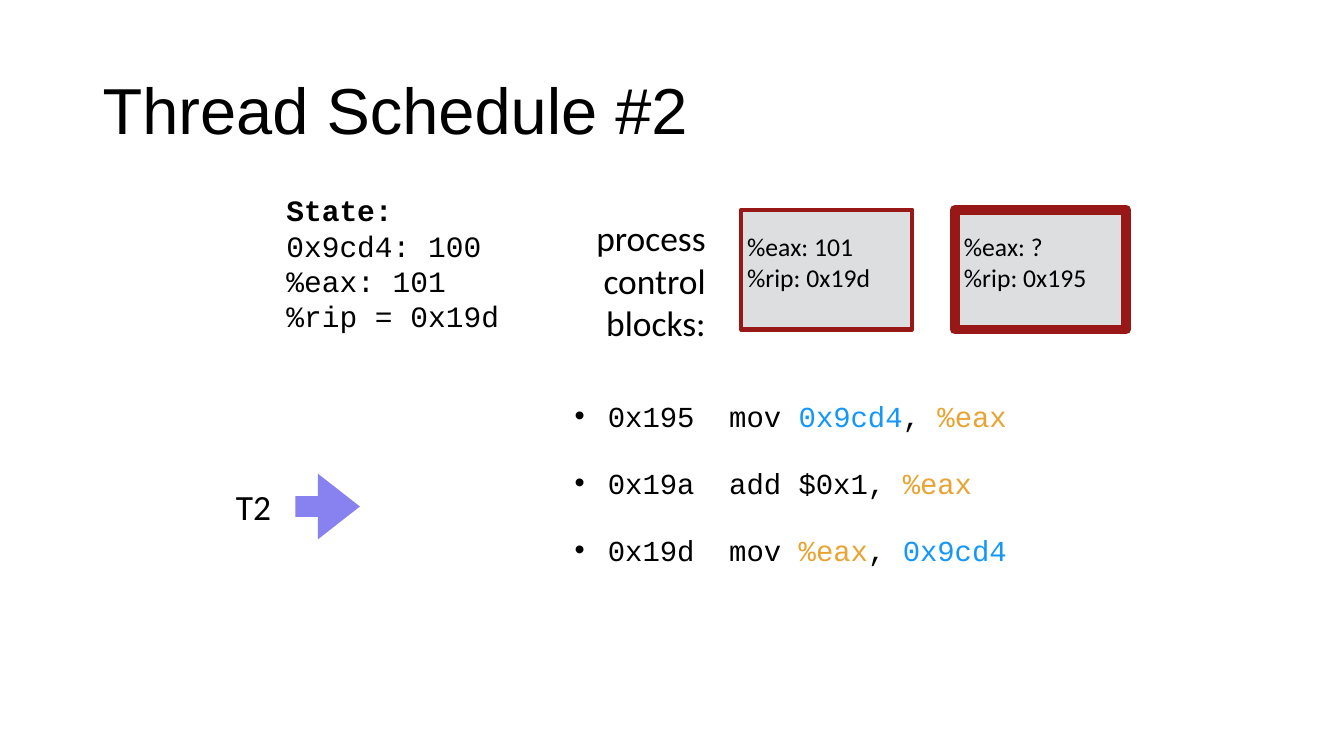
import pptx
import pptx.util
import pptx.dml.color
import pptx.enum.shapes
import pptx.enum.text
import lxml.etree

Inches, Pt = pptx.util.Inches, pptx.util.Pt
ALIGN, ANCHOR = pptx.enum.text.PP_ALIGN, pptx.enum.text.MSO_ANCHOR
SHAPE = pptx.enum.shapes.MSO_SHAPE

THEME = {
    "heading": "Arial", "body": "Calibri", "code": "Courier New",
    "text": "000000", "address": "1497FC", "register": "E8A433",
    "block": "DCDEE0", "frame": "971817", "arrow": "8881F0",
    "title_pt": 46.4, "label_pt": 25.3, "state_pt": 21.1,
    "code_pt": 20.7, "block_pt": 18.3,
}

TITLE = "Thread Schedule #2"
STATE = ["State:", "0x9cd4: 100", "%eax: 101", "%rip = 0x19d"]
BLOCKS_LABEL = ["process", "control", "blocks:"]
THREAD = "T2"
BLOCKS = [
    {"left": 7.35, "text_left": 7.41, "line": 3, "lines": ["%eax: 101", "%rip: 0x19d"]},
    {"left": 9.47, "text_left": 9.56, "line": 7, "lines": ["%eax: ?", "%rip: 0x195"]},
]
CODE = [
    [("0x195  mov ", "text"), ("0x9cd4", "address"), (", ", "text"), ("%eax", "register")],
    [("0x19a  add $0x1, ", "text"), ("%eax", "register")],
    [("0x19d  mov ", "text"), ("%eax", "register"), (", ", "text"), ("0x9cd4", "address")],
]


def rgb(key):
    return pptx.dml.color.RGBColor.from_string(THEME[key])


def add_run(p, text, font, size, color="text", bold=False):
    r = p.add_run()
    r.text = text
    r.font.name = THEME[font]
    r.font.size = Pt(THEME[size])
    r.font.bold = bold
    r.font.color.rgb = rgb(color)


def add_box(s, box, insets, anchor=ANCHOR.TOP, wrap=False):
    tf = s.shapes.add_textbox(*map(Inches, box)).text_frame
    tf.word_wrap = wrap
    tf.vertical_anchor = anchor
    tf.margin_left = tf.margin_right = Inches(insets[0])
    tf.margin_top = tf.margin_bottom = Inches(insets[1])
    return tf


def paragraphs(tf, items):
    for i, item in enumerate(items):
        yield (tf.add_paragraph() if i else tf.paragraphs[0]), item


def add_lines(tf, lines, font, size, align=ALIGN.LEFT, bold_first=False):
    for i, (p, line) in enumerate(paragraphs(tf, lines)):
        p.alignment = align
        add_run(p, line, font, size, bold=bold_first and i == 0)


def add_shape(s, kind, box, fill, line=0):
    sp = s.shapes.add_shape(kind, *map(Inches, box))
    sp.shadow.inherit = False
    sp.fill.solid()
    sp.fill.fore_color.rgb = rgb(fill)
    if line:
        sp.line.color.rgb = rgb("frame")
        sp.line.width = Pt(line)
    else:
        sp.line.fill.background()
    return sp


def add_bullet(p):
    ppr = p._p.get_or_add_pPr()
    ppr.set("marL", str(Inches(0.33)))
    ppr.set("indent", str(-Inches(0.33)))
    ns = "{http://schemas.openxmlformats.org/drawingml/2006/main}"
    lxml.etree.SubElement(ppr, ns + "buFont", typeface=THEME["heading"])
    lxml.etree.SubElement(ppr, ns + "buChar", char="•")


def main():
    prs = pptx.Presentation()
    prs.slide_width, prs.slide_height = Inches(13.33), Inches(7.5)
    s = prs.slides.add_slide(prs.slide_layouts[6])

    tf = add_box(s, (0.92, 0.4, 11.5, 1.45), (0.1, 0.05), ANCHOR.MIDDLE, True)
    add_lines(tf, [TITLE], "heading", "title_pt")
    tf.paragraphs[0].line_spacing = 0.9

    for block in BLOCKS:
        add_shape(s, SHAPE.RECTANGLE, (block["left"], 2.08, 1.7, 1.19), "block", block["line"])
        tf = add_box(s, (block["text_left"], 2.29, 1.23, 0.62), (0, 0))
        add_lines(tf, block["lines"], "body", "block_pt")

    tight = (0.04, 0.04)
    tf = add_box(s, (2.8, 1.86, 2.22, 1.5), tight, ANCHOR.MIDDLE)
    add_lines(tf, STATE, "code", "state_pt", bold_first=True)
    tf = add_box(s, (5.86, 2.1, 1.18, 1.36), tight, ANCHOR.MIDDLE)
    add_lines(tf, BLOCKS_LABEL, "body", "label_pt", ALIGN.RIGHT)
    tf = add_box(s, (2.3, 4.77, 0.43, 0.5), tight, ANCHOR.MIDDLE)
    add_lines(tf, [THREAD], "body", "label_pt")

    arrow = add_shape(s, SHAPE.RIGHT_ARROW, (2.93, 4.7, 0.64, 0.65), "arrow")
    arrow.adjustments[0], arrow.adjustments[1] = 0.32, 0.65

    tf = add_box(s, (5.63, 3.87, 6.04, 1.51), (0.07, 0.08), wrap=True)
    for i, (p, runs) in enumerate(paragraphs(tf, CODE)):
        add_bullet(p)
        if i:
            p.space_before = Pt(23)
        for text, color in runs:
            add_run(p, text, "code", "code_pt", color)

    prs.save("out.pptx")


if __name__ == "__main__":
    main()
